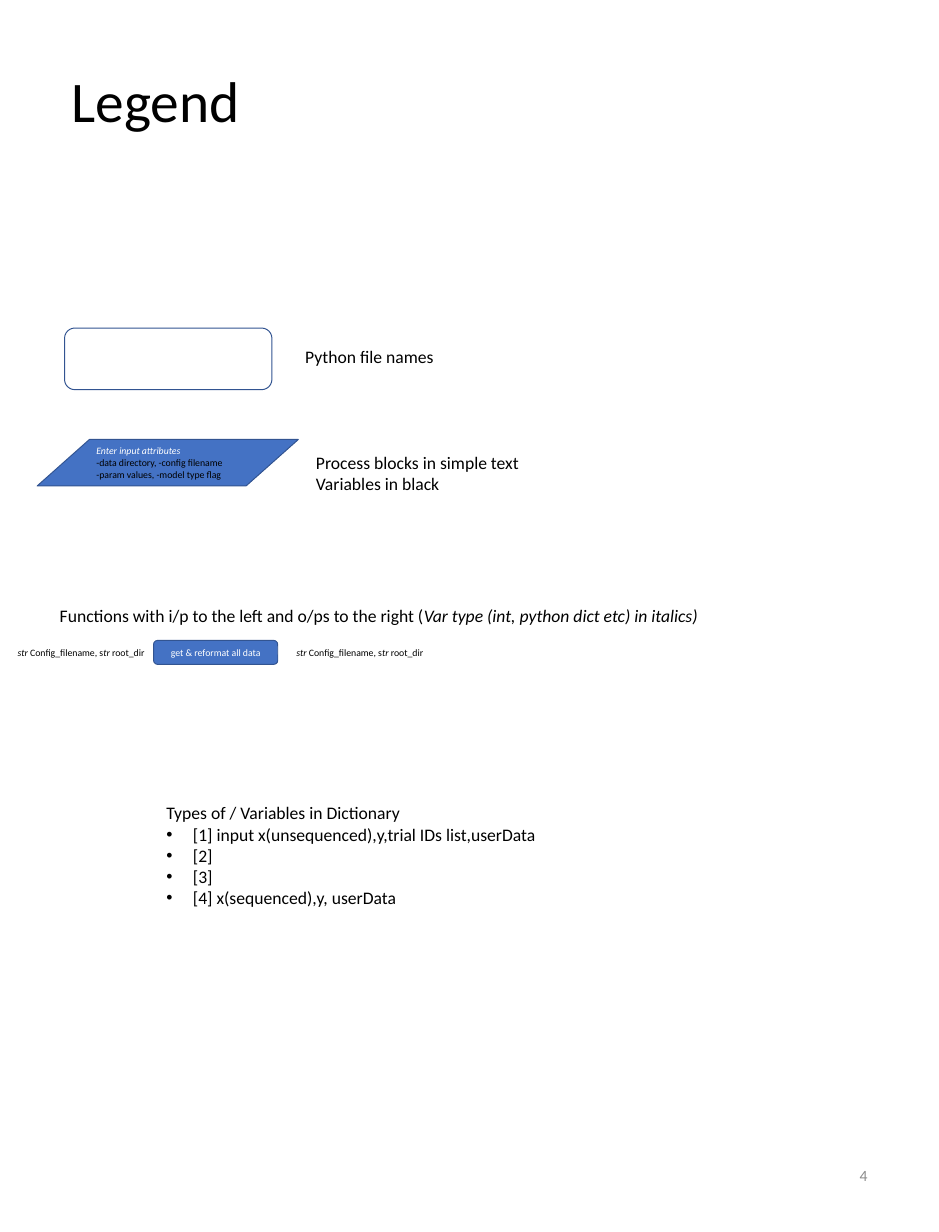
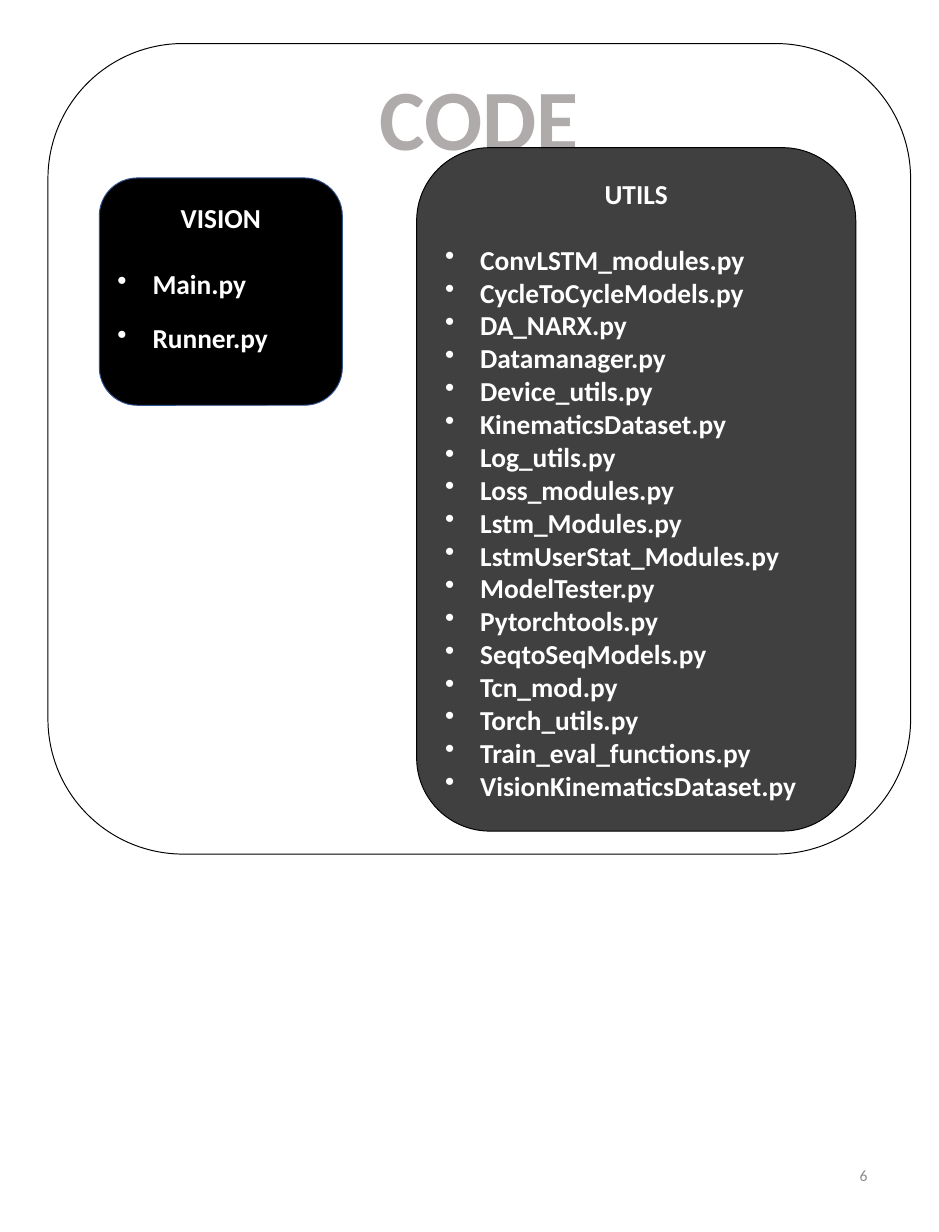
import pptx
import pptx.dml.color
import pptx.enum.shapes
import pptx.enum.text
import pptx.oxml
import pptx.oxml.ns
import pptx.util

Pt = pptx.util.Pt
SHAPES = pptx.enum.shapes.MSO_SHAPE
ALIGN = pptx.enum.text.PP_ALIGN
ANCHOR = pptx.enum.text.MSO_ANCHOR
COLORS = {
    "black": "000000",
    "white": "FFFFFF",
    "blue": "4472C4",
    "outline": "325491",
    "charcoal": "404040",
    "heading": "AFABAB",
    "number": "8C8C8C",
}
FONT = "Calibri"
NUMBER_AREA = (678, 1168, 216, 67)


def write(frame, lines, size, color, align=ALIGN.LEFT, bold=False, indent=0):
    for line in lines:
        first = frame.paragraphs[0]
        paragraph = frame.add_paragraph() if first.runs else first
        paragraph.alignment = align
        paragraph.space_before = Pt(0)
        properties = paragraph._p.get_or_add_pPr()
        properties.set("marL", str(Pt(indent)))
        properties.set("indent", str(-Pt(indent)))
        bullet = '<a:buChar %s char="•"/>' if indent else "<a:buNone %s/>"
        properties.append(pptx.oxml.parse_xml(bullet % pptx.oxml.ns.nsdecls("a")))
        for text, italic in line:
            run = paragraph.add_run()
            run.text = text
            run.font.name = FONT
            run.font.size = Pt(size)
            run.font.bold = bold
            run.font.italic = italic
            run.font.color.rgb = pptx.dml.color.RGBColor.from_string(COLORS[color])


def add_block(slide, kind, area, fill, line):
    block = slide.shapes.add_shape(kind, *map(Pt, area))
    block.shadow.inherit = False
    if fill:
        block.fill.solid()
        block.fill.fore_color.rgb = pptx.dml.color.RGBColor.from_string(COLORS[fill])
    else:
        block.fill.background()
    block.line.color.rgb = pptx.dml.color.RGBColor.from_string(COLORS[line])
    block.line.width = Pt(1)
    block.text_frame.vertical_anchor = ANCHOR.MIDDLE
    return block


deck = pptx.Presentation()
deck.slide_width, deck.slide_height = Pt(960), Pt(1260)
legend = deck.slides.add_slide(deck.slide_layouts[1])
code = deck.slides.add_slide(deck.slide_layouts[5])

for slide, heading, area, size, color, align, bold, number in [
    (legend, "Legend", (66, 67, 828, 78), 58.7, "black", ALIGN.LEFT, False, "4"),
    (code, "CODE", (49, 62, 882, 114), 88, "heading", ALIGN.CENTER, True, "6"),
]:
    title = slide.shapes.title
    title.left, title.top, title.width, title.height = map(Pt, area)
    title.text_frame.auto_size = pptx.enum.text.MSO_AUTO_SIZE.NONE
    title.text_frame.vertical_anchor = ANCHOR.MIDDLE
    write(title.text_frame, [[(heading, False)]], size, color, align, bold)
    page_number = slide.shapes.add_textbox(*map(Pt, NUMBER_AREA)).text_frame
    page_number.word_wrap = True
    page_number.vertical_anchor = ANCHOR.MIDDLE
    write(page_number, [[(number, False)]], 16, "number", ALIGN.RIGHT)
legend.shapes.title.text_frame.paragraphs[0].line_spacing = 0.9

add_block(legend, SHAPES.ROUNDED_RECTANGLE, (66, 335.5, 212, 63), "white", "outline")

process = add_block(legend, SHAPES.FLOWCHART_DATA, (38, 449.5, 267, 47.5), "blue", "outline")
write(process.text_frame, [[("Enter input attributes", True)]], 10, "white")
write(process.text_frame, [
    [("-data directory, -config filename", False)],
    [("-param values, -model type flag", False)],
], 10, "black")

function = add_block(legend, SHAPES.ROUNDED_RECTANGLE, (157, 655, 127, 24.5), "blue", "outline")
write(function.text_frame, [[("get & reformat all data", False)]], 10, "white", ALIGN.CENTER)

arguments = [[("str ", True), ("Config_filename, s", False), ("tr ", True), ("root_dir", False)]]
for area, lines, size in [
    ((305, 350, 152, 29), [[("Python file names", False)]], 18),
    ((316, 458.5, 224, 51), [
        [("Process blocks in simple text", False)],
        [("Variables in black", False)],
    ], 18),
    ((54, 615, 670, 29), [[
        ("Functions with i/p to the left and o/ps to the right (", False),
        ("Var type (int, python dict etc) in italics)", True),
    ]], 18),
    ((11, 658, 146, 19.5), arguments, 10),
    ((296, 658, 146, 19.5), arguments, 10),
]:
    caption = legend.shapes.add_textbox(*map(Pt, area)).text_frame
    caption.word_wrap = False
    write(caption, lines, size, "black")

dictionary = legend.placeholders[1]
dictionary.left, dictionary.top, dictionary.width, dictionary.height = map(Pt, (163, 817, 651, 117))
dictionary.text_frame.auto_size = pptx.enum.text.MSO_AUTO_SIZE.NONE
write(dictionary.text_frame, [[("Types of / Variables in Dictionary", False)]], 18, "black")
write(dictionary.text_frame, [[(entry, False)] for entry in [
    "[1] input x(unsequenced),y,trial IDs list,userData",
    "[2]",
    "[3]",
    "[4] x(sequenced),y, userData",
]], 18, "black", indent=27)

add_block(code, SHAPES.ROUNDED_RECTANGLE, (49, 44.5, 882, 829), None, "black")

for folder, area, fill, line, bottom_margin, file_gap, files in [
    ("UTILS", (426, 151, 449, 699), "charcoal", "black", 3.6, 0, [
        "ConvLSTM_modules.py", "CycleToCycleModels.py", "DA_NARX.py", "Datamanager.py",
        "Device_utils.py", "KinematicsDataset.py", "Log_utils.py", "Loss_modules.py",
        "Lstm_Modules.py", "LstmUserStat_Modules.py", "ModelTester.py", "Pytorchtools.py",
        "SeqtoSeqModels.py", "Tcn_mod.py", "Torch_utils.py", "Train_eval_functions.py",
        "VisionKinematicsDataset.py",
    ]),
    ("VISION", (101.5, 182, 248.5, 232.5), "black", "outline", 32, 21.6, ["Main.py", "Runner.py"]),
]:
    folder_frame = add_block(code, SHAPES.ROUNDED_RECTANGLE, area, fill, line).text_frame
    folder_frame.margin_bottom = Pt(bottom_margin)
    write(folder_frame, [[(folder, False)]], 28, "white", ALIGN.CENTER, True)
    write(folder_frame, [[(file, False)] for file in files], 28, "white", bold=True, indent=36)
    folder_frame.paragraphs[0].space_after = Pt(33.6)
    for file_line in folder_frame.paragraphs[2:]:
        file_line.space_before = Pt(file_gap)

deck.save("out.pptx")
